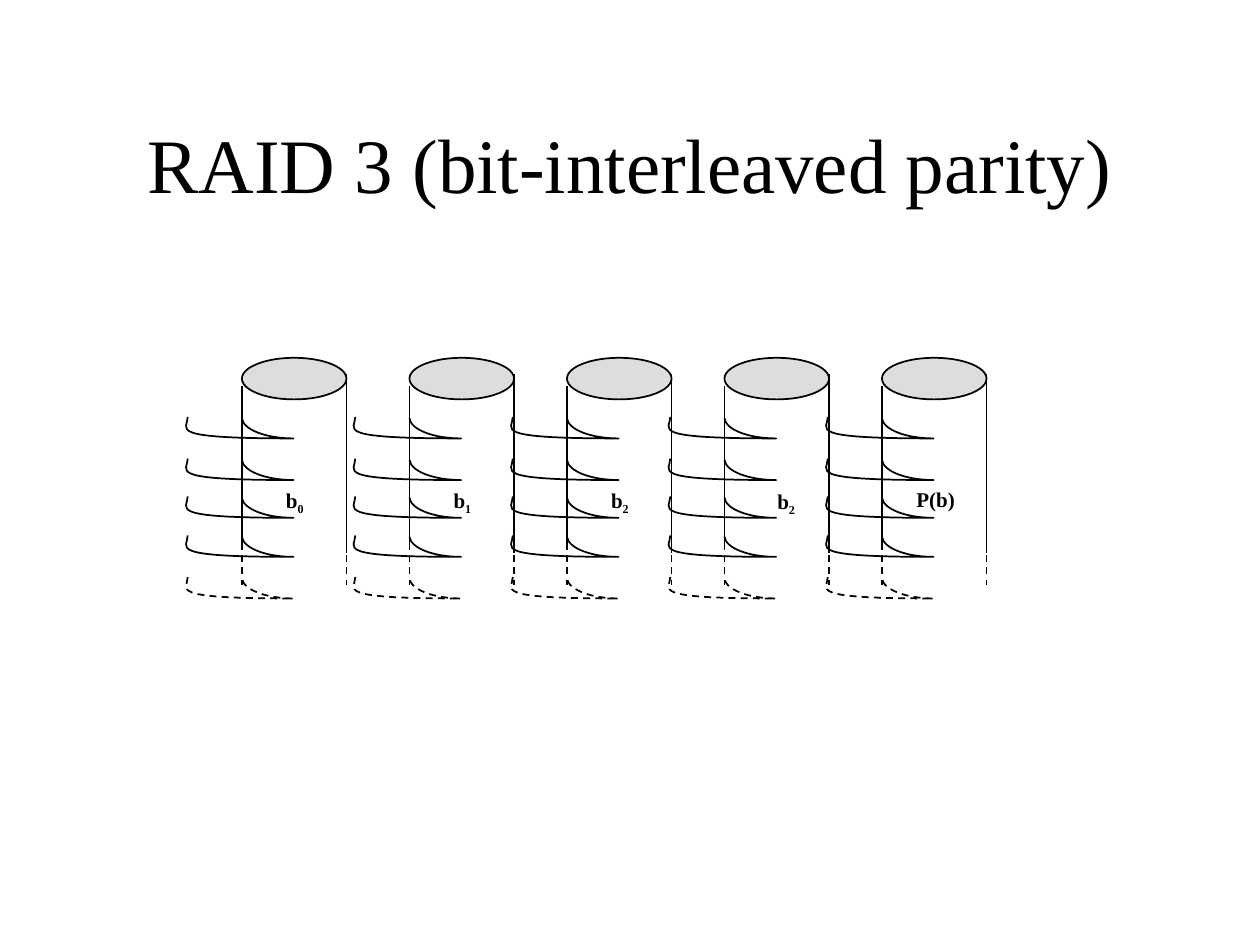
import pptx
import pptx.util
import pptx.dml.color
import pptx.enum.dml
import pptx.enum.shapes
import pptx.enum.text
import pptx.oxml.ns
from lxml import etree

Inches = pptx.util.Inches
Pt = pptx.util.Pt
qn = pptx.oxml.ns.qn
DASH = pptx.enum.dml.MSO_LINE.DASH
BLACK = pptx.dml.color.RGBColor(0x00, 0x00, 0x00)
LID_GREY = pptx.dml.color.RGBColor(0xDD, 0xDD, 0xDD)
FONT = "Times New Roman"

DISK_TOP, DISK_W, LID_H = 2.84, 0.83, 0.33
BAND_H = 0.17
BAND_OFFSETS = (1.41, 1.10, 0.80, 0.47, 1.74)  # the last one is dashed
# Start, then two Bezier curves, in hundredths of an inch within the band's box
BAND_POINTS = ((-43, 0), (-43, 10), (-62, 17), (41, 17),
               (19, 17), (1, 10), (0, 1))

# Disk left, label left, label top, label width, label height, text, subscript
DISKS = (
    (1.92, 2.17, 3.82, 0.34, 0.33, "b", "0"),
    (3.25, 3.50, 3.82, 0.34, 0.33, "b", "1"),
    (4.50, 4.75, 3.82, 0.34, 0.33, "b", "2"),
    (5.75, 6.07, 3.83, 0.34, 0.33, "b", "2"),
    (7.00, 7.17, 3.81, 0.51, 0.30, "P(b)", ""),
)


def set_font(r, **values):
    r.font.color.rgb = BLACK
    for name, value in {"name": FONT, **values}.items():
        setattr(r.font, name, value)


def set_line(s, dash=None):
    s.line.color.rgb = BLACK
    s.line.width = Pt(1)
    if dash:
        s.line.dash_style = dash


def add_title(slide, left, top, width, height):
    s = slide.shapes.title
    box = {"left": left, "top": top, "width": width, "height": height}
    for name, value in box.items():
        setattr(s, name, Inches(value))
    tf = s.text_frame
    tf.auto_size = pptx.enum.text.MSO_AUTO_SIZE.NONE
    tf.vertical_anchor = pptx.enum.text.MSO_ANCHOR.MIDDLE
    p = tf.paragraphs[0]
    p.alignment = pptx.enum.text.PP_ALIGN.CENTER
    r = p.add_run()
    r.text = "RAID 3 (bit-interleaved parity)"
    set_font(r, size=Pt(44))


def add_side(shapes, x, top, bottom, dash=None):
    s = shapes.add_connector(pptx.enum.shapes.MSO_CONNECTOR.STRAIGHT,
                             Inches(x), Inches(top), Inches(x), Inches(bottom))
    set_line(s, dash)
    etree.SubElement(s._element.spPr, qn("a:effectLst"))


def add_band(shapes, left, top, dash=None):
    """Draw one curved stripe, which reaches out to the left of its box."""
    builder = shapes.build_freeform(Inches(left), Inches(top))
    right, bottom = Inches(left + DISK_W), Inches(top + BAND_H)
    builder.add_line_segments([(right, bottom)], close=False)
    s = builder.convert_to_shape()
    s.shadow.inherit = False
    s.fill.background()
    set_line(s, dash)

    path = s._element.spPr.find(".//" + qn("a:path"))
    for child in list(path):
        path.remove(child)
    for name, value in {"w": 83, "h": 17, "fill": "none"}.items():
        path.set(name, str(value))
    for tag, points in (("a:moveTo", BAND_POINTS[:1]),
                        ("a:cubicBezTo", BAND_POINTS[1:4]),
                        ("a:cubicBezTo", BAND_POINTS[4:])):
        step = etree.SubElement(path, qn(tag))
        for x, y in points:
            etree.SubElement(step, qn("a:pt"), x=str(x), y=str(y))


def add_disk(slide, left, top):
    shapes = slide.shapes.add_group_shape().shapes
    lid = shapes.add_shape(pptx.enum.shapes.MSO_SHAPE.OVAL, Inches(left),
                           Inches(top), Inches(DISK_W), Inches(LID_H))
    lid.shadow.inherit = False
    lid.fill.solid()
    lid.fill.fore_color.rgb = LID_GREY
    set_line(lid)

    right = left + DISK_W
    add_side(shapes, left, top + 0.22, top + 1.47)
    add_side(shapes, right, top + 0.13, top + 1.55)
    for offset in BAND_OFFSETS:
        dash = DASH if offset == BAND_OFFSETS[-1] else None
        add_band(shapes, left, top + offset, dash)
    for x in (left, right):
        add_side(shapes, x, top + 1.47, top + 1.80, DASH)


def add_label(slide, left, top, width, height, text, subscript):
    s = slide.shapes.add_textbox(Inches(left), Inches(top),
                                 Inches(width), Inches(height))
    tf = s.text_frame
    tf.word_wrap = False
    tf.auto_size = pptx.enum.text.MSO_AUTO_SIZE.SHAPE_TO_FIT_TEXT
    p = tf.paragraphs[0]
    p.alignment = pptx.enum.text.PP_ALIGN.CENTER
    for part, baseline in ((text, None), (subscript, "-25000")):
        if not part:
            continue
        r = p.add_run()
        r.text = part
        set_font(r, size=Pt(12), bold=True)
        if baseline:
            r._r.get_or_add_rPr().set("baseline", baseline)


def main():
    prs = pptx.Presentation()
    prs.slide_width, prs.slide_height = Inches(10), Inches(7.5)
    slide = prs.slides.add_slide(prs.slide_layouts[5])
    add_title(slide, 0.75, 0.67, 8.5, 1.25)
    for left, *_ in DISKS:
        add_disk(slide, left, DISK_TOP)
    for _, *label in DISKS:
        add_label(slide, *label)
    prs.save("out.pptx")


if __name__ == "__main__":
    main()
